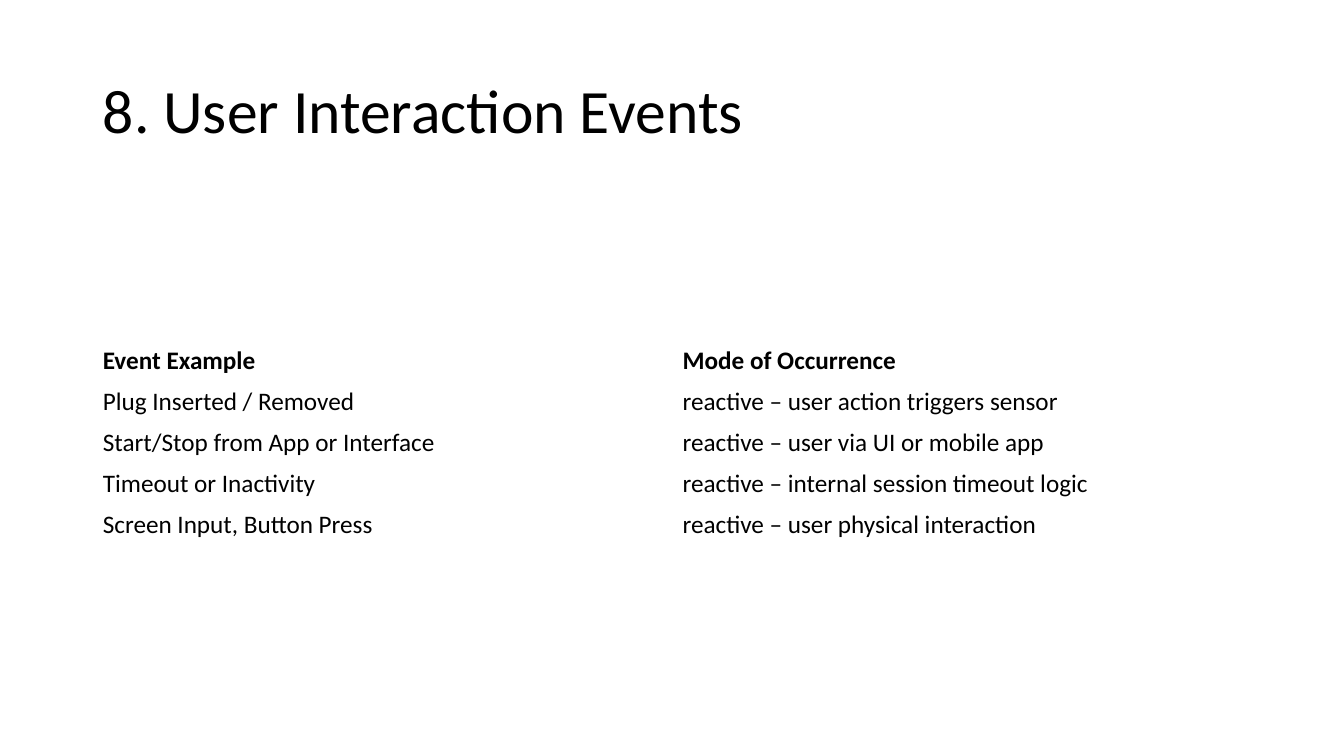
from pptx import Presentation
from pptx.dml.color import RGBColor
from pptx.enum.text import MSO_ANCHOR, PP_ALIGN
from pptx.util import Inches, Pt

BLACK = RGBColor(0, 0, 0)
FONT = "Calibri"
LEFT, WIDTH = Inches(0.92), Inches(11.5)
ROW_HEIGHT = Inches(0.4)

EVENTS = [
    ("Event Example", "Mode of Occurrence"),
    ("Plug Inserted / Removed", "reactive – user action triggers sensor"),
    ("Start/Stop from App or Interface", "reactive – user via UI or mobile app"),
    ("Timeout or Inactivity", "reactive – internal session timeout logic"),
    ("Screen Input, Button Press", "reactive – user physical interaction"),
]


def write(tf, text, size=18, bold=False, spacing=1.0):
    tf.vertical_anchor = MSO_ANCHOR.MIDDLE
    p = tf.paragraphs[0]
    p.alignment = PP_ALIGN.LEFT
    p.line_spacing = spacing
    r = p.add_run()
    r.text = text
    r.font.name = FONT
    r.font.size = Pt(size)
    r.font.bold = bold
    r.font.color.rgb = BLACK


prs = Presentation()
prs.slide_width, prs.slide_height = Inches(13.33), Inches(7.5)
s = prs.slides.add_slide(prs.slide_layouts.get_by_name("Title Only"))

title = s.shapes.title
title.left, title.top, title.width, title.height = LEFT, Inches(0.4), WIDTH, Inches(1.45)
write(title.text_frame, "8. User Interaction Events", size=44, spacing=0.9)

table = s.shapes.add_table(
    len(EVENTS), 2, LEFT, Inches(3.38), WIDTH, ROW_HEIGHT * len(EVENTS)
).table
table.horz_banding = False
table.first_row = False
for row, texts in enumerate(EVENTS):
    for col, text in enumerate(texts):
        cell = table.cell(row, col)
        cell.fill.background()
        cell.vertical_anchor = MSO_ANCHOR.MIDDLE
        write(cell.text_frame, text, bold=row == 0)

prs.save("out.pptx")
